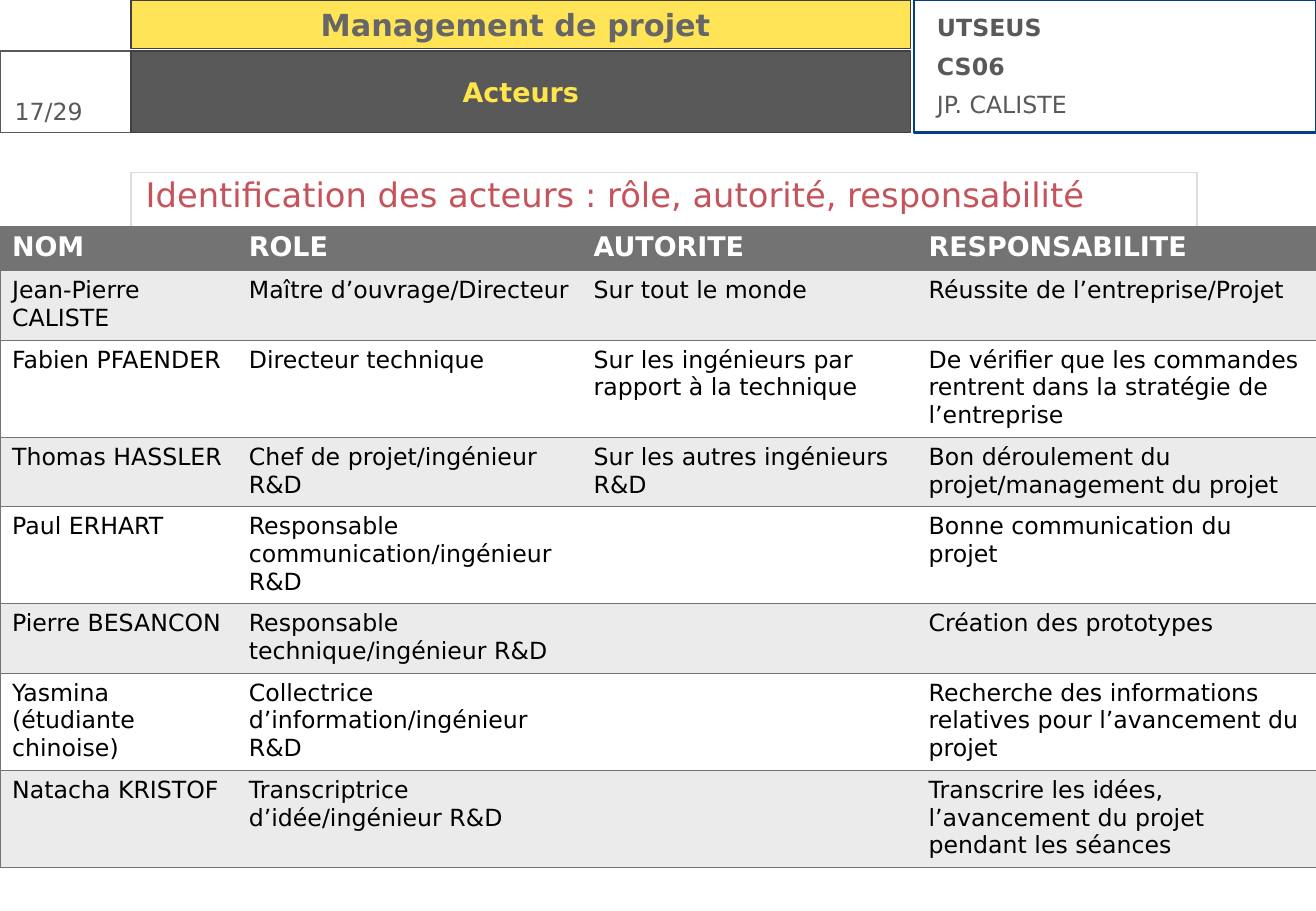
from dataclasses import dataclass

from lxml import etree
from pptx import Presentation
from pptx.dml.color import RGBColor
from pptx.enum.shapes import MSO_SHAPE
from pptx.enum.text import MSO_ANCHOR, PP_ALIGN
from pptx.oxml.ns import qn
from pptx.util import Inches, Pt

RECTANGLE = MSO_SHAPE.RECTANGLE
TOP, MIDDLE = MSO_ANCHOR.TOP, MSO_ANCHOR.MIDDLE
LEFT, CENTER = PP_ALIGN.LEFT, PP_ALIGN.CENTER


@dataclass(frozen=True)
class Theme:
    font: str = "DejaVu Sans"
    navy: str = "033D8B"
    yellow: str = "FFD912"
    pale_yellow: str = "FFE44C"
    outline: str = "404040"
    slate: str = "595959"
    heading_gray: str = "666666"
    pale_line: str = "DDDDDD"
    red: str = "C6535B"
    table_gray: str = "737373"
    band: str = "EBEBEB"
    white: str = "FFFFFF"
    black: str = "000000"
    course_size: int = 18
    subject_size: int = 20
    title_size: int = 16
    body_size: int = 14
    border: float = 0.45
    thin: float = 0.75
    thick: float = 1.5


THEME = Theme()
INSETS = (0.1, 0.05, 0.1, 0.05)
COLUMN_WIDTHS = (1.95, 2.84, 2.76, 3.29)
ROW_HEIGHTS = (0.37, 0.57, 0.8, 0.57, 0.8, 0.57, 0.8, 0.78)
ACTORS = (
    ("NOM", "ROLE", "AUTORITE", "RESPONSABILITE"),
    ("Jean-Pierre CALISTE", "Maître d’ouvrage/Directeur", "Sur tout le monde",
     "Réussite de l’entreprise/Projet"),
    ("Fabien PFAENDER", "Directeur technique",
     "Sur les ingénieurs par rapport à la technique",
     "De vérifier que les commandes rentrent dans la stratégie de l’entreprise"),
    ("Thomas HASSLER", "Chef de projet/ingénieur R&D",
     "Sur les autres ingénieurs R&D",
     "Bon déroulement du projet/management du projet"),
    ("Paul ERHART", "Responsable communication/ingénieur R&D", "",
     "Bonne communication du projet"),
    ("Pierre BESANCON", "Responsable technique/ingénieur R&D", "",
     "Création des prototypes"),
    ("Yasmina (étudiante chinoise)", "Collectrice d’information/ingénieur R&D", "",
     "Recherche des informations relatives pour l’avancement du projet"),
    ("Natacha KRISTOF", "Transcriptrice d’idée/ingénieur R&D", "",
     "Transcrire les idées, l’avancement du projet pendant les séances"),
)


def color(value):
    return RGBColor.from_string(value)


def add_run(paragraph, text, size, ink, bold=False):
    run = paragraph.add_run()
    run.text = text
    run.font.name = THEME.font
    run.font.size = Pt(size)
    run.font.bold = bold
    run.font.color.rgb = color(ink)


def set_frame(frame, insets=INSETS, anchor=TOP):
    frame.word_wrap = True
    frame.vertical_anchor = anchor
    (frame.margin_left, frame.margin_top,
     frame.margin_right, frame.margin_bottom) = map(Inches, insets)


def add_panel(slide, box, line, width, fill=None):
    panel = slide.shapes.add_shape(RECTANGLE, *map(Inches, box))
    panel.shadow.inherit = False
    panel.line.color.rgb = color(line)
    panel.line.width = Pt(width)
    if fill:
        panel.fill.solid()
        panel.fill.fore_color.rgb = color(fill)
    else:
        panel.fill.background()
    return panel


def write_line(frame, text, size, ink, bold=False, align=LEFT):
    paragraph = frame.paragraphs[0]
    paragraph.alignment = align
    add_run(paragraph, text, size, ink, bold)


def add_course_card(slide, box):
    left, top, width, height = box
    add_panel(slide, box, THEME.navy, THEME.thick)
    card = slide.shapes.add_textbox(
        *map(Inches, (left + 0.09, top + 0.06, width - 0.14, height - 0.12)))
    frame = card.text_frame
    set_frame(frame)
    for index, (text, bold) in enumerate(
            (("UTSEUS", True), ("CS06", True), ("JP. CALISTE", False))):
        paragraph = frame.add_paragraph() if index else frame.paragraphs[0]
        paragraph.space_after = Pt(6)
        add_run(paragraph, text, THEME.body_size, THEME.slate, bold)


def add_page_number(slide, box):
    left, top, width, height = box
    number = slide.shapes.add_textbox(
        *map(Inches, (left, top + 0.33, width, 0.6)))
    set_frame(number.text_frame, (0.12, 0.05, 0, 0.05))
    write_line(number.text_frame, "17/29", THEME.body_size, THEME.slate)
    add_panel(slide, box, THEME.slate, THEME.thin)


def add_banner(slide, box):
    left, top, width, height = box
    course = add_panel(slide, (left, top, width, 0.4),
                       THEME.outline, THEME.thin, THEME.yellow)
    tint = course.fill._xPr.find(qn("a:solidFill"))[0]
    etree.SubElement(tint, qn("a:alpha"), val="70000")
    set_frame(course.text_frame)
    write_line(course.text_frame, "Management de projet ", THEME.course_size,
               THEME.heading_gray, True, CENTER)
    title = add_panel(slide, (left, top + 0.42, width, height - 0.42),
                      THEME.outline, THEME.thin, THEME.slate)
    set_frame(title.text_frame, anchor=MIDDLE)
    write_line(title.text_frame, "Acteurs", THEME.title_size,
               THEME.pale_yellow, True, CENTER)


def add_subject(slide, box):
    subject = add_panel(slide, box, THEME.pale_line, THEME.thin)
    set_frame(subject.text_frame, (0.12, 0.01, 0.12, 0))
    write_line(subject.text_frame,
               "Identification des acteurs : rôle, autorité, responsabilité",
               THEME.subject_size, THEME.red)


def set_borders(cell, drawn_sides):
    properties = cell._tc.get_or_add_tcPr()
    for side in "LRTB":
        border = etree.SubElement(properties, qn(f"a:ln{side}"),
                                  w=str(Pt(THEME.border)))
        if side in drawn_sides:
            paint = etree.SubElement(border, qn("a:solidFill"))
            etree.SubElement(paint, qn("a:srgbClr"), val=THEME.table_gray)
        else:
            etree.SubElement(border, qn("a:noFill"))


def add_actor_table(slide, box):
    table = slide.shapes.add_table(
        len(ACTORS), len(COLUMN_WIDTHS), *map(Inches, box)).table
    table.horz_banding = False
    for column, width in zip(table.columns, COLUMN_WIDTHS):
        column.width = Inches(width)
    last = len(COLUMN_WIDTHS) - 1
    for row, (height, entries) in enumerate(zip(ROW_HEIGHTS, ACTORS)):
        table.rows[row].height = Inches(height)
        header = row == 0
        fill = THEME.table_gray if header else THEME.band if row % 2 else THEME.white
        ink = THEME.white if header else THEME.black
        size = THEME.title_size if header else THEME.body_size
        for column, entry in enumerate(entries):
            cell = table.cell(row, column)
            set_borders(cell, "TB" + {0: "L", last: "R"}.get(column, ""))
            cell.fill.solid()
            cell.fill.fore_color.rgb = color(fill)
            (cell.margin_left, cell.margin_top,
             cell.margin_right, cell.margin_bottom) = map(Inches, INSETS)
            if entry:
                add_run(cell.text_frame.paragraphs[0], entry, size, ink, header)


def main():
    presentation = Presentation()
    presentation.slide_width = Inches(10.84)
    presentation.slide_height = Inches(7.5)
    slide = presentation.slides.add_slide(presentation.slide_layouts[6])
    add_course_card(slide, (7.53, 0, 3.31, 1.09))
    add_page_number(slide, (0, 0.42, 1.08, 0.67))
    add_banner(slide, (1.08, 0, 6.42, 1.09))
    add_subject(slide, (1.08, 1.42, 8.78, 5.54))
    add_actor_table(slide, (0, 1.86, sum(COLUMN_WIDTHS), sum(ROW_HEIGHTS)))
    presentation.save("out.pptx")


if __name__ == "__main__":
    main()
